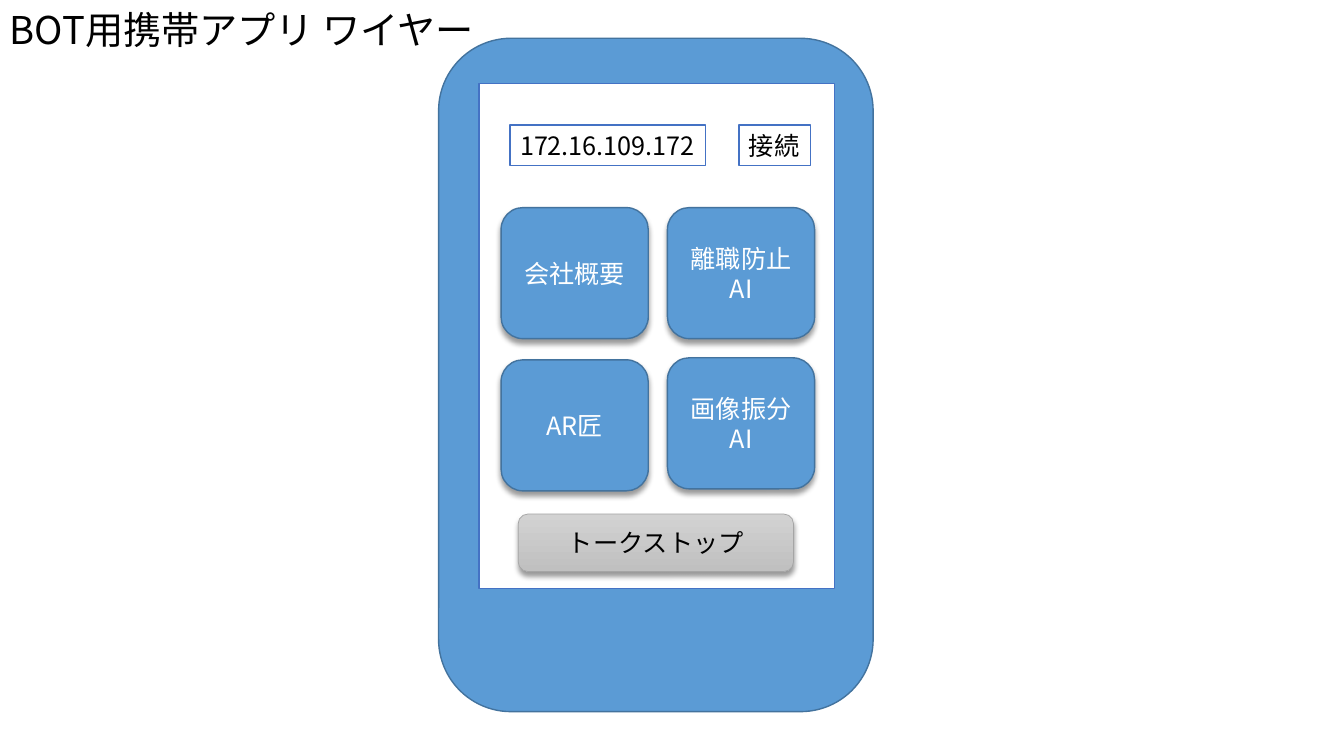
from dataclasses import dataclass
from typing import Optional

from lxml.etree import SubElement
from pptx import Presentation
from pptx.dml.color import RGBColor
from pptx.enum.shapes import MSO_SHAPE as Preset
from pptx.enum.text import MSO_ANCHOR as Anchor, MSO_AUTO_SIZE as AutoSize, PP_ALIGN as Align
from pptx.oxml.ns import qn
from pptx.util import Inches, Pt

FONT = "Noto Sans CJK JP"
BLUE = RGBColor(0x5B, 0x9B, 0xD5)
BLUE_EDGE = RGBColor(0x43, 0x73, 0x9E)
FRAME = RGBColor(0x44, 0x72, 0xC4)
WHITE = RGBColor(0xFF, 0xFF, 0xFF)
BLACK = RGBColor(0, 0, 0)
GRAY_TOP = RGBColor(0xD2, 0xD2, 0xD2)
GRAY_BOTTOM = RGBColor(0xC0, 0xC0, 0xC0)
GRAY_EDGE = RGBColor(0xA5, 0xA5, 0xA5)


@dataclass(frozen=True)
class Panel:
    """A filled, outlined part of the phone, in inches."""
    left: float
    top: float
    width: float
    height: float
    preset: Preset = Preset.ROUNDED_RECTANGLE
    fill: Optional[RGBColor] = BLUE  # None gives the gray gradient
    edge: RGBColor = BLUE_EDGE
    edge_width: float = 1
    label: str = ""
    ink: RGBColor = WHITE
    raised: bool = False
    fits_text: bool = False


def add_run(paragraph, text: str, size: float, color: RGBColor) -> None:
    """Add one run, in the same font for Latin and Japanese."""
    run = paragraph.add_run()
    run.text = text
    run.font.size = Pt(size)
    run.font.color.rgb = color
    run.font.name = FONT
    SubElement(run.font._element, qn("a:ea"), typeface=FONT)


def add_drop_shadow(shape) -> None:
    """Cast a soft shadow straight down."""
    effects = shape._element.spPr.find(qn("a:effectLst"))
    shadow = SubElement(effects, qn("a:outerShdw"), blurRad=str(Pt(4)),
                        dist=str(Pt(3)), dir="5400000", algn="t", rotWithShape="0")
    color = SubElement(shadow, qn("a:srgbClr"), val=str(BLACK))
    SubElement(color, qn("a:alpha"), val="40000")


def add_panel(slide, panel: Panel) -> None:
    """Draw one panel with its fill, edge, shadow and label."""
    shape = slide.shapes.add_shape(panel.preset, Inches(panel.left), Inches(panel.top),
                                   Inches(panel.width), Inches(panel.height))
    shape.shadow.inherit = False
    if panel.fill is None:
        shape.fill.gradient()
        shape.fill.gradient_angle = 270
        for stop, color in zip(shape.fill.gradient_stops, (GRAY_TOP, GRAY_BOTTOM)):
            stop.color.rgb = color
    else:
        shape.fill.solid()
        shape.fill.fore_color.rgb = panel.fill
    shape.line.color.rgb = panel.edge
    shape.line.width = Pt(panel.edge_width)
    if panel.raised:
        add_drop_shadow(shape)
    if panel.label:
        frame = shape.text_frame
        frame.word_wrap = not panel.fits_text
        frame.vertical_anchor = Anchor.TOP if panel.fits_text else Anchor.MIDDLE
        if panel.fits_text:
            frame.auto_size = AutoSize.SHAPE_TO_FIT_TEXT
        paragraph = frame.paragraphs[0]
        paragraph.alignment = Align.LEFT if panel.fits_text else Align.CENTER
        add_run(paragraph, panel.label, 18, panel.ink)


def screen_box(left: float, top: float, width: float, height: float,
               label: str = "") -> Panel:
    """Describe a white framed rectangle."""
    return Panel(left, top, width, height, Preset.RECTANGLE, WHITE, FRAME,
                 label=label, ink=BLACK, fits_text=True)


def menu_button(left: float, top: float, label: str) -> Panel:
    """Describe one raised menu button."""
    return Panel(left, top, 1.46, 1.3, label=label, raised=True)


def add_title(slide, text: str) -> None:
    """Write the heading along the top edge."""
    box = slide.shapes.add_textbox(Inches(0), Inches(0.06), Inches(11.5), Inches(0.72))
    box.text_frame.word_wrap = True
    paragraph = box.text_frame.paragraphs[0]
    paragraph.line_spacing = 0.9
    add_run(paragraph, text, 27.3, BLACK)


LEFT_COLUMN, RIGHT_COLUMN = 4.97, 6.62
PHONE = (
    Panel(4.35, 0.38, 4.31, 6.68),
    screen_box(4.75, 0.83, 3.53, 5.01),
    screen_box(5.06, 1.24, 1.94, 0.4, "172.16.109.172"),
    screen_box(7.33, 1.24, 0.71, 0.4, "接続"),
    menu_button(LEFT_COLUMN, 2.06, "会社概要"),
    menu_button(RIGHT_COLUMN, 2.06, "離職防止AI"),
    menu_button(RIGHT_COLUMN, 3.55, "画像振分AI"),
    menu_button(LEFT_COLUMN, 3.57, "AR匠"),
    Panel(5.14, 5.1, 2.73, 0.57, fill=None, edge=GRAY_EDGE, edge_width=0.5,
          label="トークストップ", ink=BLACK, raised=True),
)

deck = Presentation()
deck.slide_width, deck.slide_height = Inches(13.33), Inches(7.5)
wireframe = deck.slides.add_slide(deck.slide_layouts[6])
for part in PHONE:
    add_panel(wireframe, part)
add_title(wireframe, "BOT用携帯アプリ ワイヤー")
deck.save("out.pptx")
